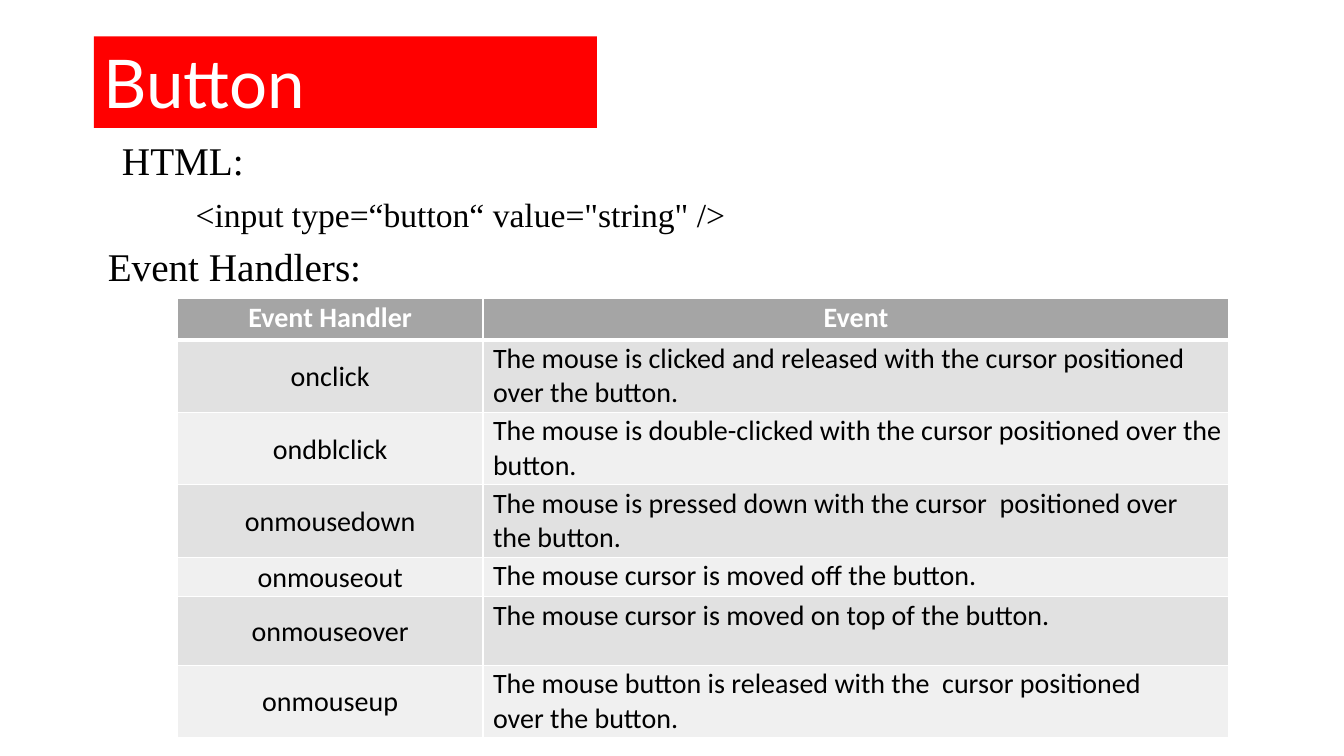
from lxml import etree
from pptx import Presentation
from pptx.dml.color import RGBColor
from pptx.enum.text import MSO_ANCHOR, MSO_AUTO_SIZE, PP_ALIGN
from pptx.oxml.ns import qn
from pptx.util import Pt

TOP, MIDDLE = MSO_ANCHOR.TOP, MSO_ANCHOR.MIDDLE
LEFT, CENTER = PP_ALIGN.LEFT, PP_ALIGN.CENTER
NO_FIT = MSO_AUTO_SIZE.NONE

# Content
TITLE = "Button"
# text, box (left, top, width, height), size
LINES = [
    ("HTML:", (121, 134, 248, 48), 28),
    ("<input type=“button“ value=\"string\" />", (194, 191, 967, 40), 24),
    ("Event Handlers:", (107, 239, 274, 48), 28),
]
HEADER = ("Event Handler", "Event")
# handler, event, row height, right margin of the event text
EVENTS = [
    ("onclick", "The mouse is clicked and released with the cursor positioned over the button.", 72, 0),
    ("ondblclick", "The mouse is double-clicked with the cursor positioned over the button.", 72, 0),
    ("onmousedown", "The mouse is pressed down with the cursor  positioned over the button.", 72, 20),
    ("onmouseout", "The mouse cursor is moved off the button.", 39, 0),
    ("onmouseover", "The mouse cursor is moved on top of the button.", 68, 0),
    ("onmouseup", "The mouse button is released with the  cursor positioned over the button.", 72, 60),
]

# Layout and style
PX = 9144  # EMU in one px, 100 px to the inch
TITLE_BOX = (93, 36, 499, 91)
TABLE_LEFT, TABLE_TOP = 176, 296
COLS = (303, 740)
HEADER_H = 41
COLORS = {"white": "FFFFFF", "black": "000000", "red": "FF0000",
          "header": "A5A5A5", "odd": "E1E1E1", "even": "F0F0F0"}


def px(*values):
    return [v * PX for v in values]


def rgb(name):
    return RGBColor.from_string(COLORS[name])


def style(p, font, size, color, align=LEFT, bold=False):
    p.alignment = align
    for r in p.runs:
        r.font.name, r.font.size, r.font.bold = font, Pt(size), bold
        r.font.color.rgb = rgb(color)


def set_borders(cell, bottom):
    tcPr = cell._tc.get_or_add_tcPr()
    for side, width in (("L", 1), ("R", 1), ("T", 1), ("B", bottom)):
        ln = etree.SubElement(tcPr, qn("a:ln" + side), w=str(Pt(width)))
        fill = etree.SubElement(ln, qn("a:solidFill"))
        etree.SubElement(fill, qn("a:srgbClr"), val=COLORS["white"])


def fill_cell(cell, text, fill, color="black", align=CENTER, bold=False,
              anchor=MIDDLE, left=0, right=0, bottom=1):
    set_borders(cell, bottom)
    cell.fill.solid()
    cell.fill.fore_color.rgb = rgb(fill)
    cell.margin_left, cell.margin_right, cell.margin_top, cell.margin_bottom = px(left, right, 2, 0)
    cell.vertical_anchor = anchor
    cell.text_frame.text = text
    style(cell.text_frame.paragraphs[0], "Calibri", 20, color, align, bold)


prs = Presentation()
prs.slide_width, prs.slide_height = px(1333, 750)
s = prs.slides.add_slide(prs.slide_layouts[5])

# Title on its red band
title = s.shapes.title
title.left, title.top, title.width, title.height = px(*TITLE_BOX)
title.fill.solid()
title.fill.fore_color.rgb = rgb("red")
tf = title.text_frame
tf.text = TITLE
tf.auto_size, tf.vertical_anchor = NO_FIT, TOP
style(tf.paragraphs[0], "Lato", 48, "white")

# Text lines above the table
for text, box, size in LINES:
    tf = s.shapes.add_textbox(*px(*box)).text_frame
    tf.word_wrap = True
    tf.margin_left = tf.margin_right = tf.margin_bottom = 0
    tf.margin_top = PX
    tf.text = text
    style(tf.paragraphs[0], "Times New Roman", size, "black")

# Table of event handlers
heights = [HEADER_H] + [height for _, _, height, _ in EVENTS]
frame = s.shapes.add_table(len(heights), len(COLS),
                           *px(TABLE_LEFT, TABLE_TOP, sum(COLS), sum(heights)))
table = frame.table
for col, width in zip(table.columns, COLS):
    col.width = width * PX
for row, height in zip(table.rows, heights):
    row.height = height * PX

for c, text in enumerate(HEADER):
    fill_cell(table.cell(0, c), text, "header", "white", bold=True, anchor=TOP, bottom=3)
for i, (handler, event, _, right) in enumerate(EVENTS, 1):
    band = "odd" if i % 2 else "even"
    fill_cell(table.cell(i, 0), handler, band)
    fill_cell(table.cell(i, 1), event, band, align=LEFT, anchor=TOP, left=10, right=right)

prs.save("out.pptx")
